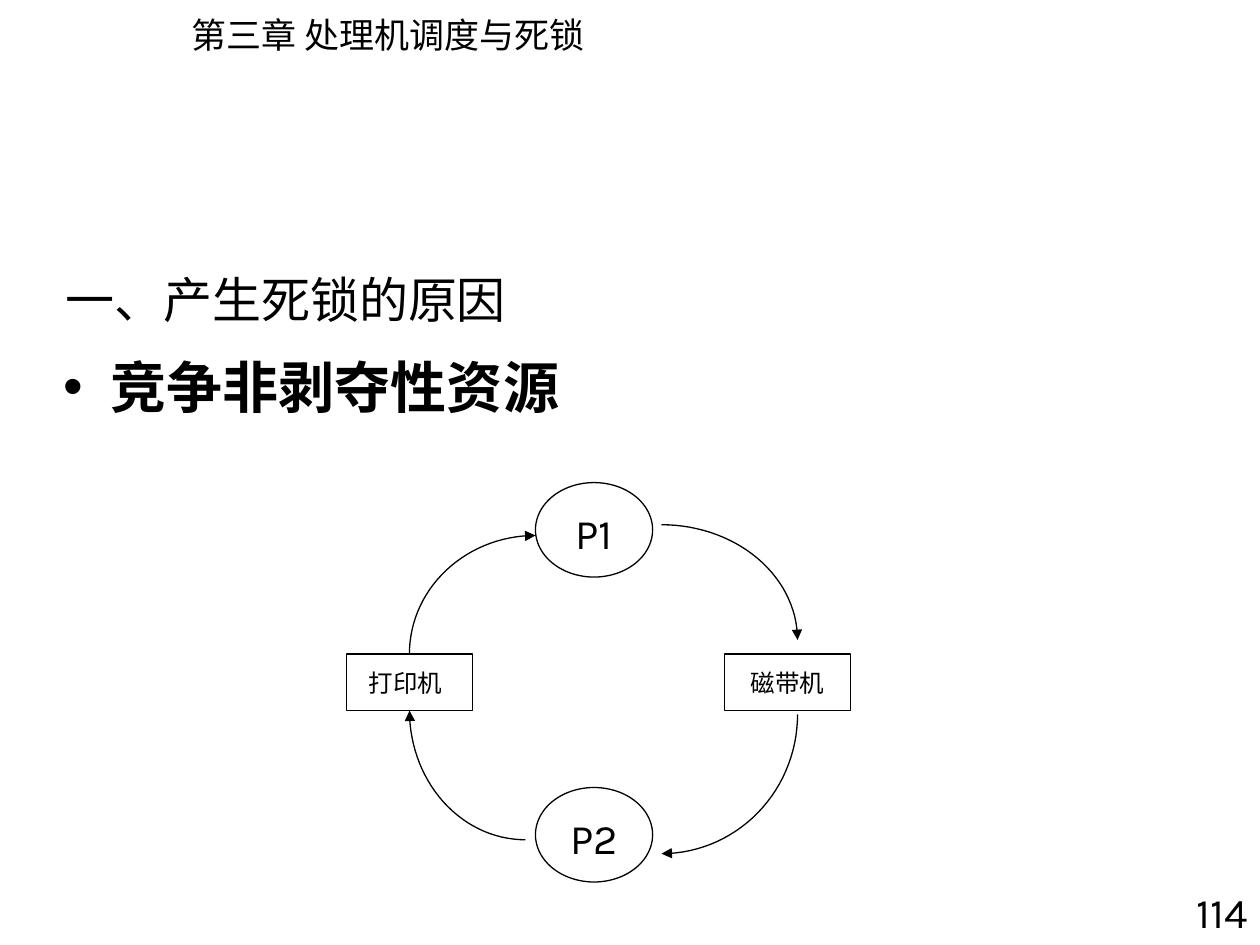
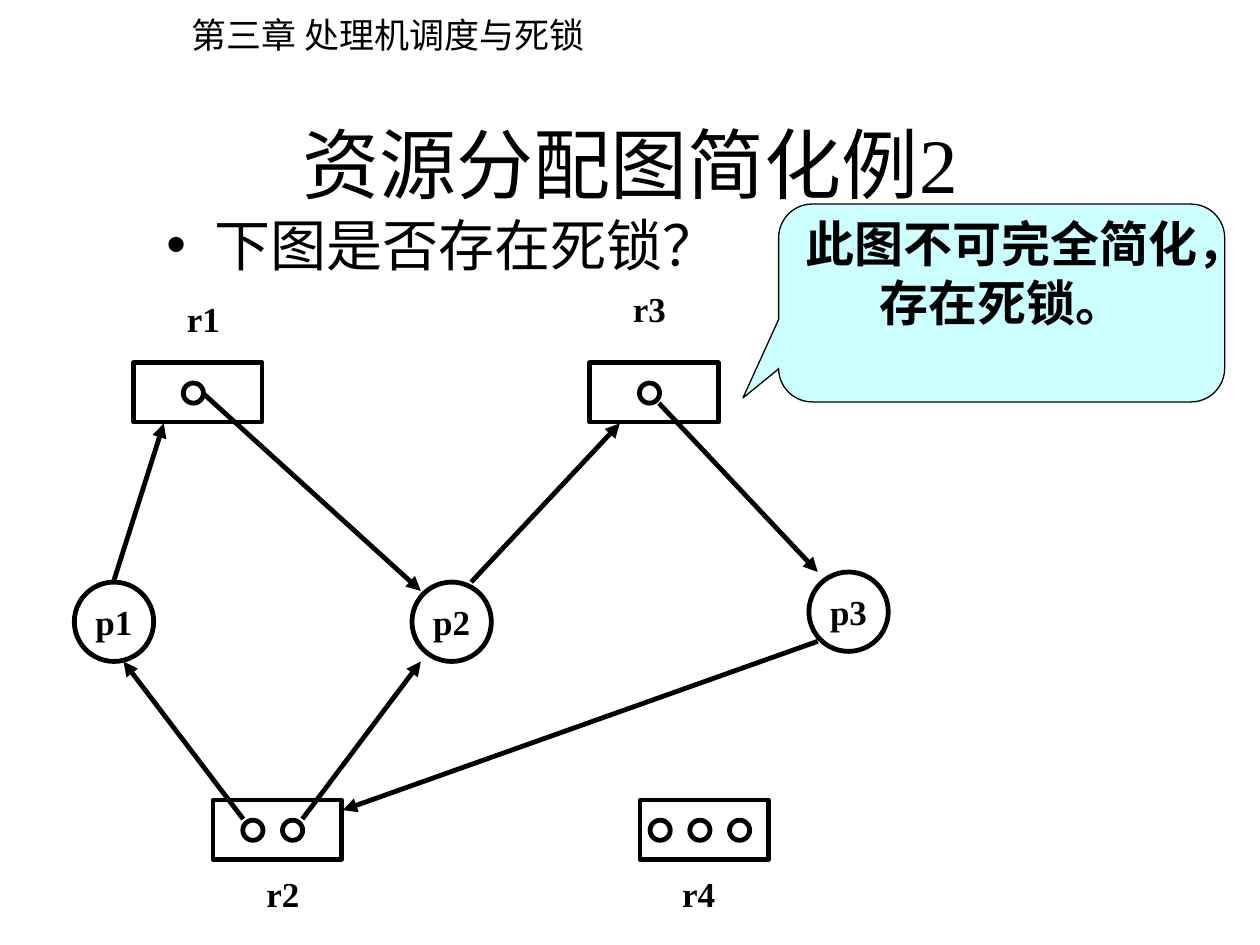
import math

import lxml.etree
import pptx
import pptx.dml.color
import pptx.enum.shapes
import pptx.enum.text
import pptx.oxml.ns
import pptx.util

COLUMNS, ROWS = 100, 75
INK = "000000"
CALLOUT_FILL = "CCFFFF"
KARLA, TIMES = "Karla", "Times New Roman"
NOTO, NOTO_HEADER = "Noto Sans CJK SC", "Noto Sans CJK JP"
THIN, THICK = 0.75, 2.75

SHAPE = pptx.enum.shapes.MSO_SHAPE
ALIGN = pptx.enum.text.PP_ALIGN
ANCHOR = pptx.enum.text.MSO_ANCHOR
AUTO_SIZE = pptx.enum.text.MSO_AUTO_SIZE


def colour(code):
    return pptx.dml.color.RGBColor.from_string(code)


def add_xml(parent, tag, **attributes):
    return lxml.etree.SubElement(parent, pptx.oxml.ns.qn(tag), attributes)


class Deck:
    """Holds the style and the current slide; lengths are grid columns and rows."""

    def __init__(self):
        self.show = pptx.Presentation()
        self.show.slide_width = pptx.util.Inches(10)
        self.show.slide_height = pptx.util.Inches(7.5)
        self.column = self.show.slide_width / COLUMNS
        self.row = self.show.slide_height / ROWS

    def point(self, x, y):
        return round(x * self.column), round(y * self.row)

    def box(self, x, y, width, height):
        return self.point(x, y) + self.point(width, height)

    def start_slide(self):
        self.slide = self.show.slides.add_slide(self.show.slide_layouts[1])
        self.label("第三章 处理机调度与死锁", (14.2, 0.6, 33.8, 4.4), 20,
                   NOTO_HEADER, align=ALIGN.LEFT, wrap=False)

    def set_text(self, shape, text, size, font, bold=False, align=ALIGN.CENTER,
                 anchor=ANCHOR.TOP, wrap=True, inset=(1, 0.5), bullet=False):
        frame = shape.text_frame
        frame.text = text
        frame.word_wrap = wrap
        frame.auto_size = AUTO_SIZE.NONE
        frame.vertical_anchor = anchor
        side, top = self.point(*inset)
        frame.margin_left = frame.margin_right = side
        frame.margin_top = frame.margin_bottom = top
        paragraph = frame.paragraphs[0]
        paragraph.alignment = align
        paragraph.space_before = pptx.util.Pt(0)
        if bullet:
            properties = paragraph._p.get_or_add_pPr()
            properties.set("marL", str(pptx.util.Inches(0.38)))
            properties.set("indent", str(pptx.util.Inches(-0.38)))
            add_xml(properties, "a:buChar", char="•")
        paragraph.font.size = pptx.util.Pt(size)
        paragraph.font.name = font
        paragraph.font.bold = bold
        paragraph.font.color.rgb = colour(INK)

    def place(self, placeholder, box):
        (placeholder.left, placeholder.top,
         placeholder.width, placeholder.height) = self.box(*box)
        return placeholder

    def title(self, text, box, size, font, align):
        self.set_text(self.place(self.slide.shapes.title, box), text, size, font,
                      align=align, anchor=ANCHOR.MIDDLE)

    def bullet(self, text, box, font, bold=False, inset=(1, 0.5)):
        self.set_text(self.place(self.slide.placeholders[1], box), text, 32, font,
                      bold, ALIGN.LEFT, inset=inset, bullet=True)

    def label(self, text, box, size, font, **style):
        text_box = self.slide.shapes.add_textbox(*self.box(*box))
        self.set_text(text_box, text, size, font, **style)
        if not style.get("wrap", True):
            text_box.text_frame.auto_size = AUTO_SIZE.SHAPE_TO_FIT_TEXT

    def outline(self, line, weight, arrow=False):
        line.width = pptx.util.Pt(weight)
        line.color.rgb = colour(INK)
        if arrow:
            add_xml(line._get_or_add_ln(), "a:tailEnd", type="triangle")

    def shape(self, kind, box, weight, fill=None):
        shape = self.slide.shapes.add_shape(kind, *self.box(*box))
        shape.shadow.inherit = False
        if fill:
            shape.fill.solid()
            shape.fill.fore_color.rgb = colour(fill)
        else:
            shape.fill.background()
        self.outline(shape.line, weight)
        return shape

    def quarter_arrow(self, centre, radii, start, steps=30):
        """Clockwise quarter of an ellipse from the start angle, arrow at its end."""
        angles = [math.radians(start + 90 * i / steps) for i in range(steps + 1)]
        first, *rest = [self.point(centre[0] + radii[0] * math.cos(a),
                                   centre[1] + radii[1] * math.sin(a)) for a in angles]
        builder = self.slide.shapes.build_freeform(*first)
        builder.add_line_segments(rest, close=False)
        curve = builder.convert_to_shape()
        curve.shadow.inherit = False
        curve.fill.background()
        self.outline(curve.line, THIN, arrow=True)

    def arrow(self, start, end):
        edge = self.slide.shapes.add_connector(
            pptx.enum.shapes.MSO_CONNECTOR.STRAIGHT,
            *self.point(*start), *self.point(*end))
        self.outline(edge.line, THICK, arrow=True)
        add_xml(edge._element.spPr, "a:effectLst")

    def process(self, name, x, y):
        circle = self.shape(SHAPE.OVAL, (x, y, 6.3, 6.3), THICK)
        self.set_text(circle, name, 20, TIMES, True, anchor=ANCHOR.MIDDLE, wrap=False)

    def resource(self, name, x, y, units, label_x, label_y):
        """A resource box with its units as dots, centred at an equal pitch."""
        self.shape(SHAPE.RECTANGLE, (x, y, 10.2, 4.7), THICK)
        pitch = 3.15
        first = x + 3.95 - pitch * (units - 1) / 2
        for i in range(units):
            self.shape(SHAPE.OVAL, (first + i * pitch, y + 1.6, 1.6, 1.6), THICK)
        self.label(name, (label_x, label_y, 4.7, 3.9), 20, TIMES, bold=True,
                   anchor=ANCHOR.MIDDLE, wrap=False)


def causes_slide(deck):
    deck.start_slide()
    deck.title("一、产生死锁的原因", (4.2, 20, 90, 7.5), 28, NOTO, ALIGN.LEFT)
    deck.bullet("竞争非剥夺性资源", (5, 27.5, 95, 39.2), NOTO, bold=True, inset=(0, 0.5))
    deck.label("114", (90.8, 69.9, 9.2, 5.6), 24, KARLA, align=ALIGN.RIGHT)

    # Processes
    for process, top in (("P1", 38.3), ("P2", 62.5)):
        deck.shape(SHAPE.OVAL, (42.5, top, 9.3, 7.5), THIN)
        deck.label(process, (42.5, top + 1.5, 9.3, 5), 24, KARLA)

    # Devices
    for device, left, label_left, align in (("打印机", 27.5, 28.3, ALIGN.LEFT),
                                            ("磁带机", 57.5, 57.5, ALIGN.CENTER)):
        deck.shape(SHAPE.RECTANGLE, (left, 51.9, 10, 4.5), THIN)
        deck.label(device, (label_left, 52.5, 10, 3.4), 14, KARLA, align=align)

    # Circular wait: centre, radii, start angle
    for centre, radii, start in (((41.7, 56.4), (9.2, 10.25), 90),
                                 ((42.5, 51.9), (10, 9.4), 180),
                                 ((52.5, 50.8), (10.8, 9.15), 270),
                                 ((52.5, 56.7), (10.8, 11.05), 0)):
        deck.quarter_arrow(centre, radii, start)


def reduction_slide(deck):
    deck.start_slide()
    deck.title("资源分配图简化例2", (7.5, 6.7, 85, 12.5), 44, TIMES, ALIGN.CENTER)
    deck.bullet("下图是否存在死锁？", (12.2, 16.2, 47.1, 7.1), TIMES)

    # Nodes of the allocation graph
    for process in (("p1", 5.9, 46.2), ("p2", 32.7, 46.2), ("p3", 64.2, 45.4)):
        deck.process(*process)
    for resource in (("r1", 10.6, 28.8, 1, 13.8, 23.3),
                     ("r2", 16.9, 63.5, 2, 20.1, 69),
                     ("r3", 46.8, 28.8, 1, 49.2, 22.5),
                     ("r4", 50.8, 63.5, 3, 53.1, 69)):
        deck.resource(*resource)

    # Requests and allocations
    for start, end in (((24, 65), (33.4, 52.5)),
                       ((19.3, 65), (9.8, 52.5)),
                       ((9, 46.2), (13, 33.6)),
                       ((16.1, 31.2), (33.4, 46.9)),
                       ((37.4, 46.2), (49.2, 33.6)),
                       ((52.3, 32), (64.9, 45.4)),
                       ((64.9, 50.9), (27.2, 64.3))):
        deck.arrow(start, end)

    # Answer
    answer = deck.shape(SHAPE.ROUNDED_RECTANGULAR_CALLOUT, (61.8, 16.2, 35.4, 15.7),
                        THIN, CALLOUT_FILL)
    for i, share in enumerate((-0.58, 0.48, 0.17)):
        answer.adjustments[i] = share
    deck.set_text(answer, "此图不可完全简化，存在死锁。", 28, KARLA, True, inset=(0, 0))


def main():
    deck = Deck()
    causes_slide(deck)
    reduction_slide(deck)
    deck.show.save("out.pptx")


if __name__ == "__main__":
    main()
